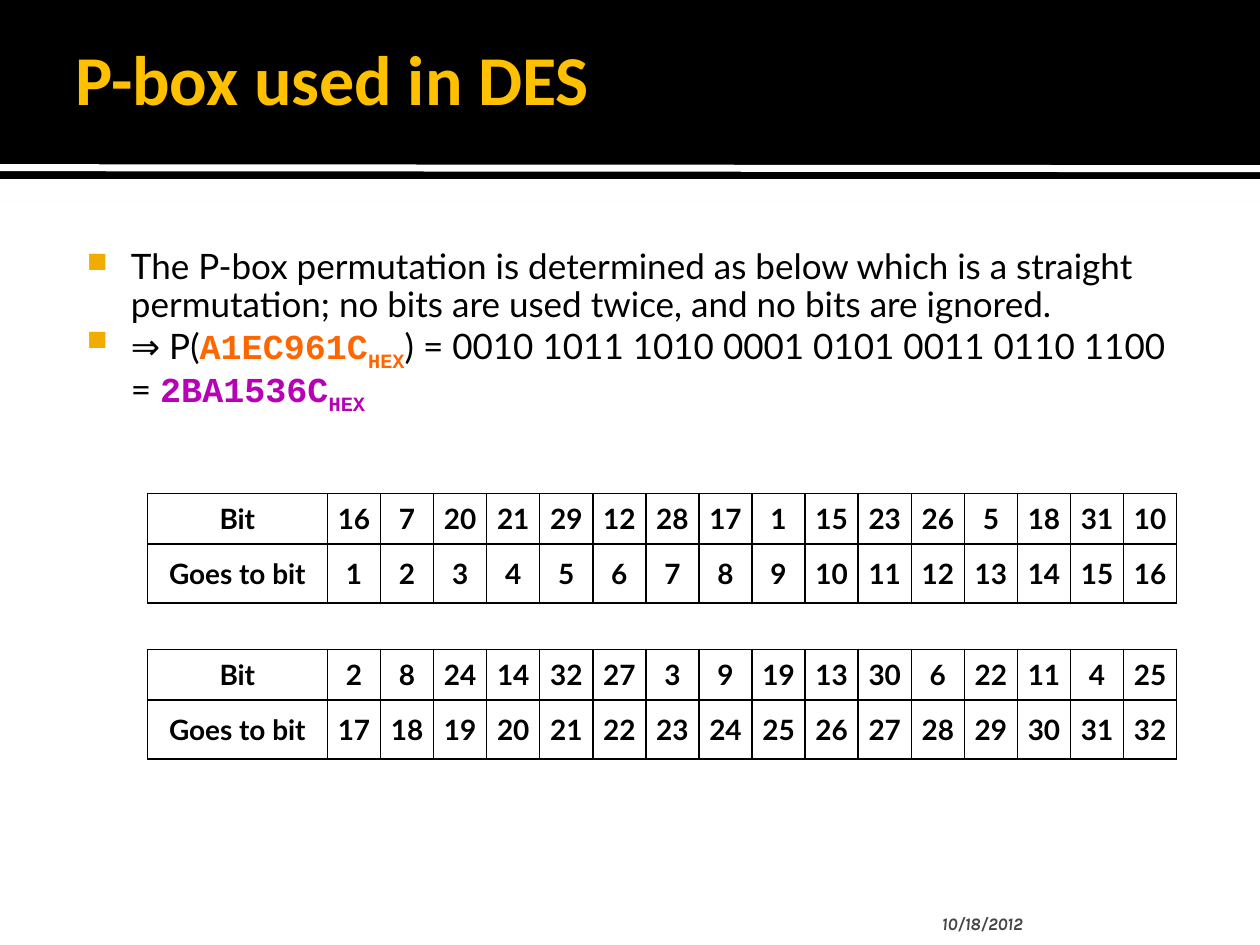
"""Build the slide on the P-box permutation used in DES."""
from dataclasses import dataclass

from lxml import etree
from pptx import Presentation
from pptx import util as u
from pptx.dml.color import RGBColor
from pptx.enum import shapes, text
from pptx.oxml import ns


@dataclass(frozen=True)
class Theme:
    black: str = "000000"
    white: str = "FFFFFF"
    title: str = "FFC000"
    bullet: str = "F0AD00"
    hex_input: str = "FF6600"
    hex_output: str = "B701B7"
    date: str = "454545"
    title_font: str = "Calibri"
    body_font: str = "Lato"
    code_font: str = "Courier New"
    date_font: str = "Karla"
    title_size: int = 40
    body_size: int = 20
    table_size: int = 16
    date_size: int = 10


def add_xml(parent, tag, **attributes):
    return etree.SubElement(parent, ns.qn(tag), attributes)


def add_color(parent, color):
    return add_xml(add_xml(parent, "a:solidFill"), "a:srgbClr", val=color)


def set_font(font, name, color, size=None, bold=False, italic=False):
    font.name = name
    font.color.rgb = RGBColor.from_string(color)
    font.bold = bold
    font.italic = italic
    if size:
        font.size = u.Pt(size)


class SlideBuilder:
    def __init__(self, slide, theme):
        self.slide = slide
        self.theme = theme

    def band(self, top, height, color, shadow=False):
        band = self.slide.shapes.add_shape(
            shapes.MSO_SHAPE.RECTANGLE, 0, u.Cm(top), u.Cm(25.4), u.Cm(height))
        band.fill.solid()
        band.fill.fore_color.rgb = RGBColor.from_string(color)
        band.line.fill.background()
        band.shadow.inherit = False
        if shadow:
            effects = band._element.spPr.find(ns.qn("a:effectLst"))
            outer = add_xml(effects, "a:outerShdw", blurRad=str(u.Pt(2.5)),
                            dist=str(u.Pt(0.8)), dir="5400000", rotWithShape="0")
            add_xml(add_color(outer, self.theme.black), "a:alpha", val="60000")

    def rule(self, start_y, end_y, color, width):
        rule = self.slide.shapes.add_connector(
            shapes.MSO_CONNECTOR.STRAIGHT, 0, u.Cm(start_y), u.Cm(25.4), u.Cm(end_y))
        rule.line.color.rgb = RGBColor.from_string(color)
        rule.line.width = u.Pt(width)
        add_xml(rule._element.spPr, "a:effectLst")

    def frame(self, box, margins, anchor):
        frame = self.slide.shapes.add_textbox(*map(u.Cm, box)).text_frame
        frame.word_wrap = True
        frame.vertical_anchor = anchor
        (frame.margin_left, frame.margin_top,
         frame.margin_right, frame.margin_bottom) = map(u.Cm, margins)
        return frame

    def label(self, wording, box, margins, anchor, **font):
        paragraph = self.frame(box, margins, anchor).paragraphs[0]
        paragraph.text = wording
        set_font(paragraph.font, bold=True, **font)

    def bullets(self, items, box, margins):
        theme = self.theme
        frame = self.frame(box, margins, text.MSO_ANCHOR.TOP)
        for index, parts in enumerate(items):
            paragraph = frame.add_paragraph() if index else frame.paragraphs[0]
            paragraph.line_spacing = 0.9
            properties = paragraph._p.get_or_add_pPr()
            properties.set("marL", str(u.Cm(1.22)))
            properties.set("indent", str(u.Cm(-0.89)))
            add_xml(add_xml(properties, "a:buClr"), "a:srgbClr", val=theme.bullet)
            add_xml(properties, "a:buSzPct", val="80000")
            add_xml(properties, "a:buChar", char="■")
            if isinstance(parts, str):
                paragraph.text = parts
                set_font(paragraph.font, theme.body_font, theme.black, theme.body_size)
                continue
            paragraph.font.size = u.Pt(theme.body_size)
            for wording, code_color, baseline in parts:
                run = paragraph.add_run()
                run.text = wording
                if code_color:
                    set_font(run.font, theme.code_font, code_color, bold=True)
                else:
                    set_font(run.font, theme.body_font, theme.black)
                if baseline:
                    run._r.get_or_add_rPr().set("baseline", str(baseline * 1000))

    def borders(self, cell, sides):
        properties = cell._tc.get_or_add_tcPr()
        for side in "LRTB":
            line = add_xml(properties, f"a:ln{side}", w=str(u.Pt(1)))
            if side in sides:
                add_color(line, self.theme.black)
            else:
                add_xml(line, "a:noFill")

    def table(self, rows, left, top, column_widths, row_heights):
        theme = self.theme
        table = self.slide.shapes.add_table(
            len(rows), len(column_widths), u.Cm(left), u.Cm(top),
            u.Cm(sum(column_widths)), u.Cm(sum(row_heights))).table
        table.first_row = table.horz_banding = False
        for column, width in zip(table.columns, column_widths):
            column.width = u.Cm(width)
        for y, (values, height) in enumerate(zip(rows, row_heights)):
            table.rows[y].height = u.Cm(height)
            for x in range(len(column_widths)):
                cell = table.cell(y, x)
                self.borders(cell, "LRTB" if values else "TB")
                cell.fill.background()
                cell.margin_left = cell.margin_right = 0
                cell.margin_top = cell.margin_bottom = u.Cm(0.13 if values else 0)
                if values:
                    cell.vertical_anchor = text.MSO_ANCHOR.MIDDLE
                    paragraph = cell.text_frame.paragraphs[0]
                    paragraph.text = str(values[x])
                    paragraph.alignment = text.PP_ALIGN.CENTER
                    set_font(paragraph.font, theme.body_font, theme.black,
                             theme.table_size, bold=True)
            if not values:
                table.cell(y, 0).merge(table.cell(y, len(column_widths) - 1))


def main():
    theme = Theme()
    deck = Presentation()
    deck.slide_width, deck.slide_height = u.Cm(25.4), u.Cm(19.05)
    builder = SlideBuilder(deck.slides.add_slide(deck.slide_layouts[6]), theme)

    builder.band(3.81, 0.18, theme.white, shadow=True)
    builder.band(0, 3.61, theme.black)
    builder.rule(3.38, 3.4, theme.white, 4)
    builder.label("P-box used in DES", (1.27, 0.2, 20.96, 2.74),
                  (0.25, 0.13, 0.13, 0.13), text.MSO_ANCHOR.MIDDLE,
                  name=theme.title_font, color=theme.title, size=theme.title_size)

    builder.bullets([
        "The P-box permutation is determined as below which is a straight "
        "permutation; no bits are used twice, and no bits are ignored.",
        [("⇒ P(", None, 0),
         ("A1EC961C", theme.hex_input, 0),
         ("HEX", theme.hex_input, -25),
         (") = 0010 1011 1010 0001 0101 0011 0110 1100 = ", None, 0),
         ("2BA1536C", theme.hex_output, 0),
         ("HEX", theme.hex_output, -25)],
    ], (1.27, 4.78, 22.86, 6.43), (0.15, 0.25, 0.25, 0.13))

    permutation = [16, 7, 20, 21, 29, 12, 28, 17, 1, 15, 23, 26, 5, 18, 31, 10,
                   2, 8, 24, 14, 32, 27, 3, 9, 19, 13, 30, 6, 22, 11, 4, 25]
    half = len(permutation) // 2
    rows = []
    for start in (0, half):
        if rows:
            rows.append(None)
        rows.append(["Bit", *permutation[start:start + half]])
        rows.append(["Goes to bit", *range(start + 1, start + half + 1)])
    builder.table(rows, 2.97, 9.95, [3.63] + [1.07] * half,
                  [1.02, 1.19, 0.93, 1.02, 1.19])

    builder.label("10/18/2012", (18.69, 17.81, 5.33, 1.02),
                  (0.3, 0.13, 0.13, 0), text.MSO_ANCHOR.BOTTOM,
                  name=theme.date_font, color=theme.date, size=theme.date_size,
                  italic=True)
    deck.save("out.pptx")


if __name__ == "__main__":
    main()
